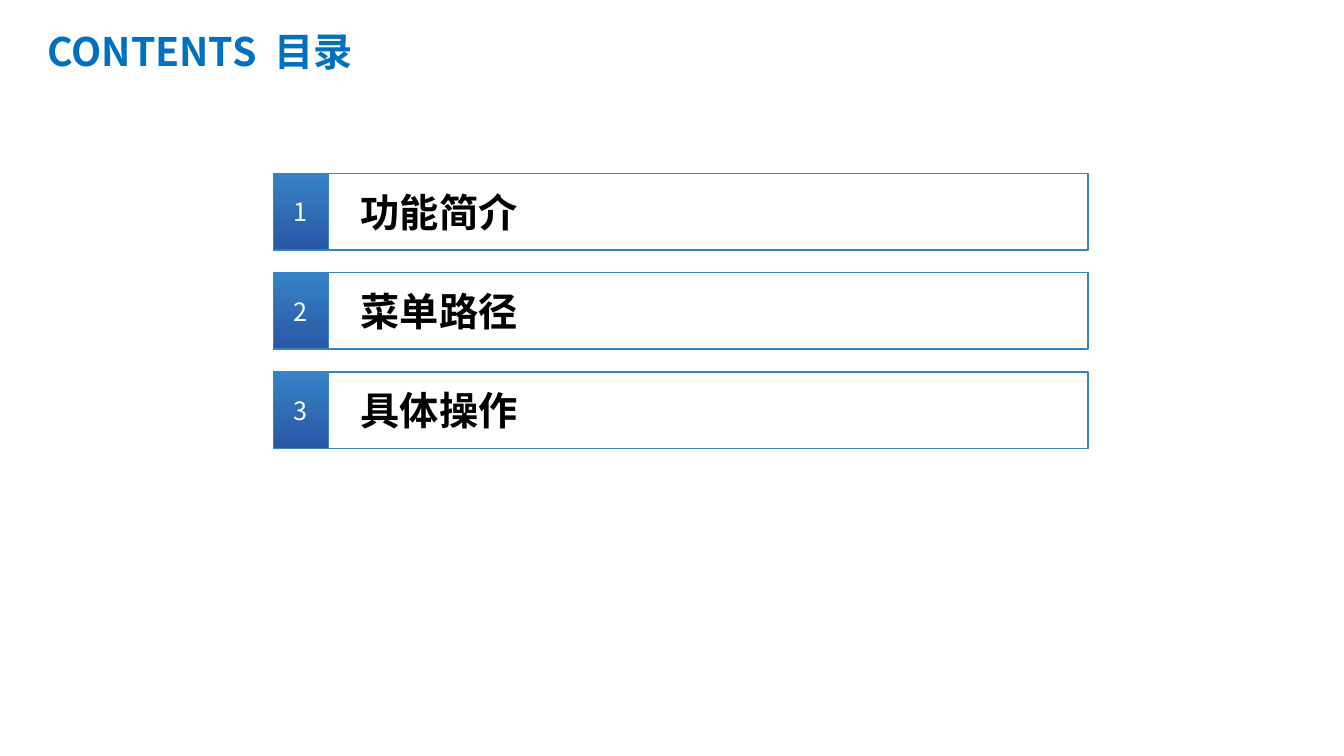
"""Build a contents slide with a title and three numbered entries."""
from typing import NamedTuple

from lxml import etree
from pptx import Presentation
from pptx import util as u
from pptx.dml.color import RGBColor
from pptx.enum import shapes, text
from pptx.oxml import ns

SKY = RGBColor(0x37, 0x82, 0xC5)
NAVY = RGBColor(0x28, 0x57, 0xA5)
TITLE_BLUE = RGBColor(0x00, 0x70, 0xC0)
BLACK = RGBColor(0x00, 0x00, 0x00)
WHITE = RGBColor(0xFF, 0xFF, 0xFF)
FONT = "Noto Sans CJK SC"

SLIDE_WIDTH, SLIDE_HEIGHT = 13.33, 7.5
ROW_LEFT, ROW_TOP = 2.71, 1.72
ROW_WIDTH, ROW_HEIGHT, ROW_PITCH = 8.08, 0.76, 0.985
NUMBER_WIDTH = 0.55
LABEL_LEFT, LABEL_WIDTH, LABEL_HEIGHT = 3.48, 7.18, 0.57


class Area(NamedTuple):
    """Position and size in inches."""
    left: float
    top: float
    width: float
    height: float

    def lengths(self) -> list:
        """Return the four values as slide lengths."""
        return [u.Inches(value) for value in self]


class Entry(NamedTuple):
    """One numbered line of the contents."""
    number: int
    label: str


ENTRIES = [Entry(1, "功能简介"), Entry(2, "菜单路径"), Entry(3, "具体操作")]


def write(box, words: str, *, size: float, color: RGBColor, bold: bool = False,
          align=text.PP_ALIGN.LEFT, anchor=text.MSO_ANCHOR.MIDDLE) -> None:
    """Fill a shape with one formatted paragraph."""
    frame = box.text_frame
    frame.word_wrap = True
    frame.auto_size = text.MSO_AUTO_SIZE.NONE
    frame.vertical_anchor = anchor
    para = frame.paragraphs[0]
    para.alignment = align
    span = para.add_run()
    span.text = words
    span.font.size = u.Pt(size)
    span.font.bold = bold
    span.font.color.rgb = color
    span.font.name = FONT
    east_asian = etree.SubElement(span.font._element, ns.qn("a:ea"))
    east_asian.set("typeface", FONT)


def add_rectangle(group, area: Area, *, gradient: bool = False):
    """Draw an outlined rectangle, hollow or with a vertical gradient."""
    box = group.shapes.add_shape(shapes.MSO_SHAPE.RECTANGLE, *area.lengths())
    box.shadow.inherit = False
    box.line.color.rgb = SKY
    box.line.width = u.Pt(1)
    if gradient:
        box.fill.gradient()
        box.fill.gradient_angle = 270
        for stop, color in zip(box.fill.gradient_stops, (SKY, NAVY)):
            stop.color.rgb = color
    else:
        box.fill.background()
    return box


def add_entry(page, entry: Entry) -> None:
    """Draw the frame, number and label of one entry as a group."""
    top = ROW_TOP + (entry.number - 1) * ROW_PITCH
    group = page.shapes.add_group_shape()
    add_rectangle(group, Area(ROW_LEFT, top, ROW_WIDTH, ROW_HEIGHT))
    number = add_rectangle(group, Area(ROW_LEFT, top, NUMBER_WIDTH, ROW_HEIGHT), gradient=True)
    write(number, str(entry.number), size=18, color=WHITE, align=text.PP_ALIGN.CENTER)
    label_top = top + (ROW_HEIGHT - LABEL_HEIGHT) / 2
    label = group.shapes.add_textbox(
        *Area(LABEL_LEFT, label_top, LABEL_WIDTH, LABEL_HEIGHT).lengths())
    write(label, entry.label, size=28, color=BLACK, bold=True, anchor=text.MSO_ANCHOR.TOP)


def main() -> None:
    """Assemble and save the deck."""
    deck = Presentation()
    deck.slide_width, deck.slide_height = u.Inches(SLIDE_WIDTH), u.Inches(SLIDE_HEIGHT)
    page = deck.slides.add_slide(deck.slide_layouts.get_by_name("Title Only"))
    title = page.shapes.title
    title.left, title.top, title.width, title.height = Area(0.37, 0.19, 11.38, 0.63).lengths()
    write(title, "CONTENTS  目录", size=28, color=TITLE_BLUE, bold=True)
    for entry in ENTRIES:
        add_entry(page, entry)
    deck.save("out.pptx")


main()
